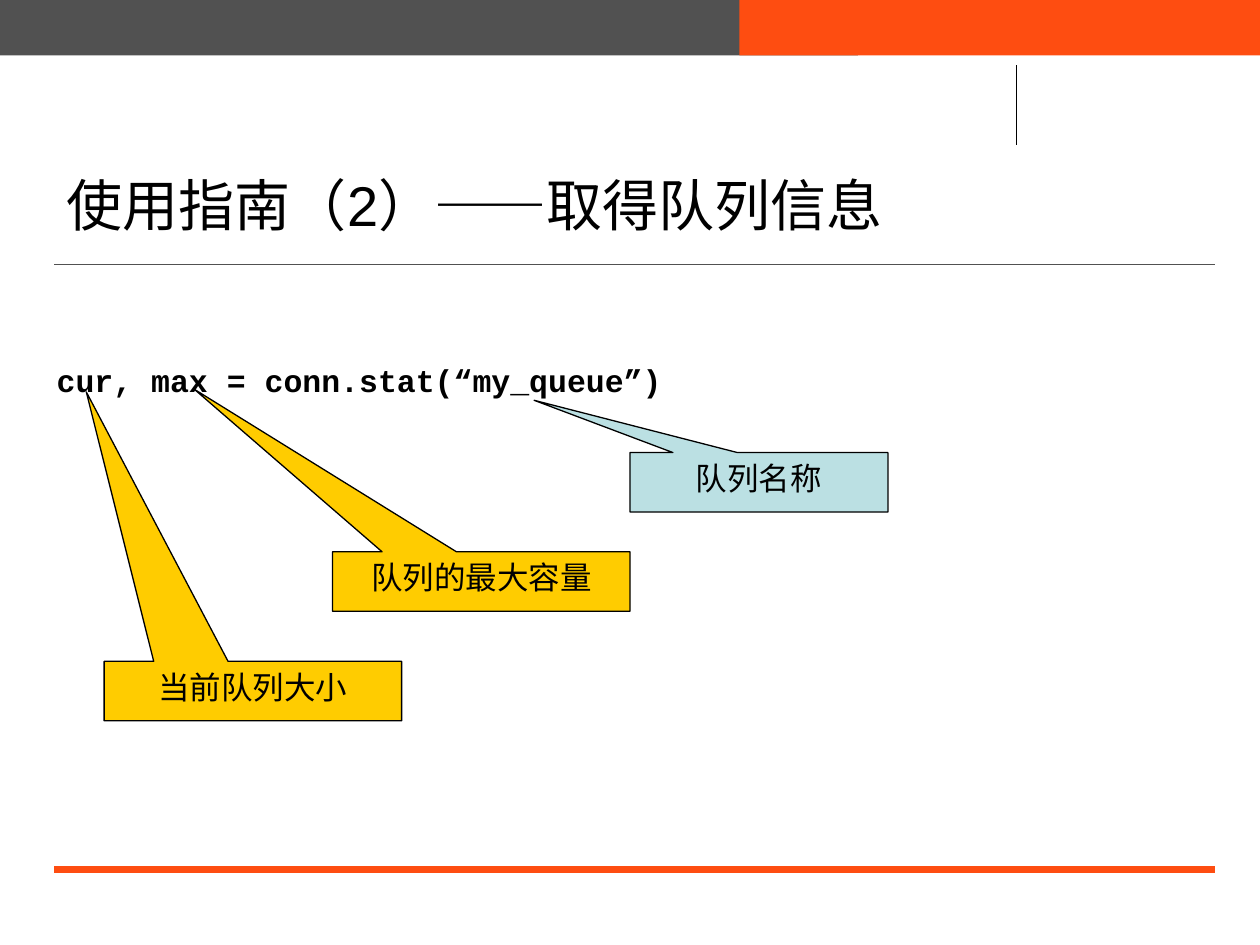
from dataclasses import dataclass

from pptx import Presentation
from pptx.dml.color import RGBColor
from pptx.enum.shapes import MSO_CONNECTOR as Connector, MSO_SHAPE as Shape
from pptx.enum.text import MSO_ANCHOR as Anchor, MSO_AUTO_SIZE as AutoSize, PP_ALIGN as Align
from pptx.oxml.ns import qn
from pptx.util import Pt
from lxml.etree import SubElement


@dataclass(frozen=True)
class Theme:
    """Colours, fonts and type sizes of the slide."""
    gray: str = "515151"
    orange: str = "FE4D11"
    black: str = "000000"
    yellow: str = "FFCC00"
    blue: str = "BBE0E3"
    font: str = "Arial"
    code_font: str = "Courier New"
    title_size: int = 32
    text_size: int = 18


THEME = Theme()


def write_text(shape, text, size=THEME.text_size, font=THEME.font, bold=False,
               align=Align.LEFT, anchor=Anchor.TOP, top_inset=3.6):
    """Write one formatted paragraph into a shape."""
    frame = shape.text_frame
    frame.word_wrap = True
    frame.auto_size = AutoSize.NONE
    frame.vertical_anchor = anchor
    frame.margin_left = frame.margin_right = Pt(7.2)
    frame.margin_top, frame.margin_bottom = Pt(top_inset), Pt(3.6)
    paragraph = frame.paragraphs[0]
    paragraph.alignment = align
    paragraph.space_before = Pt(0)
    run = paragraph.add_run()
    run.text = text
    run.font.name, run.font.size, run.font.bold = font, Pt(size), bold
    run.font.color.rgb = RGBColor.from_string(THEME.black)
    return paragraph


def place(shape, box):
    """Move a shape to a box of left, top, width and height."""
    shape.left, shape.top, shape.width, shape.height = map(Pt, box)


def add_box(slide, kind, box, fill, line=None):
    """Add a filled preset shape, with an outline if a colour is given."""
    shape = slide.shapes.add_shape(kind, *map(Pt, box))
    shape.shadow.inherit = False
    shape.fill.solid()
    shape.fill.fore_color.rgb = RGBColor.from_string(fill)
    if line:
        shape.line.color.rgb = RGBColor.from_string(line)
        shape.line.width = Pt(0.75)
    else:
        shape.line.fill.background()
    return shape


def add_rule(slide, start, end, color, width):
    """Add a straight line between two points."""
    rule = slide.shapes.add_connector(Connector.STRAIGHT, *map(Pt, (*start, *end)))
    rule.line.color.rgb = RGBColor.from_string(color)
    rule.line.width = Pt(width)
    SubElement(rule._element.spPr, qn("a:effectLst"))


def add_frame(slide, box):
    """Draw the top band and the rules of the page."""
    left, top, width, height = box
    right, band = left + width, 31.7
    split = left + 422.6
    add_box(slide, Shape.RECTANGLE, (left, top, 490.3, band), THEME.gray)
    add_box(slide, Shape.RECTANGLE, (split, top, right - split, band), THEME.orange)
    for y, color, weight in ((151.2, THEME.gray, 1), (496.8, THEME.orange, 4)):
        add_rule(slide, (left + 31, top + y), (right - 25.5, top + y), color, weight)
    add_rule(slide, (left + 581, top + 37.4), (left + 581, top + 82.8), THEME.black, 0.75)


def add_title(slide, box, text):
    """Place the slide title."""
    title = slide.shapes.title
    place(title, box)
    write_text(title, text, size=THEME.title_size, anchor=Anchor.MIDDLE)


def add_code(slide, box, text):
    """Place the line of code in the body placeholder."""
    body = slide.placeholders[1]
    place(body, box)
    paragraph = write_text(body, text, font=THEME.code_font, bold=True, top_inset=32.6)
    properties = paragraph._p.get_or_add_pPr()
    properties.set("marL", "0")
    properties.set("indent", "0")
    SubElement(properties, qn("a:buNone"))


def add_callout(slide, box, tip, text, fill):
    """Add a labelled callout whose tail ends at the tip."""
    left, top, width, height = box
    callout = add_box(slide, Shape.RECTANGULAR_CALLOUT, box, fill, THEME.black)
    callout.adjustments[0] = (tip[0] - left) / width - 0.5
    callout.adjustments[1] = (tip[1] - top) / height - 0.5
    write_text(callout, text, align=Align.CENTER)


def main():
    """Build the slide and save it."""
    presentation = Presentation()
    presentation.slide_width, presentation.slide_height = Pt(720), Pt(540)
    slide = presentation.slides.add_slide(presentation.slide_layouts[1])
    add_frame(slide, (0, 0, 720, 540))
    add_title(slide, (31, 93.6, 648, 46), "使用指南（2）——取得队列信息")
    add_code(slide, (25.2, 173.5, 663, 268.6), "cur, max = conn.stat(“my_queue”)")
    callouts = (
        ((360, 258.6, 147.4, 34), (305.2, 228.7), "队列名称", THEME.blue),
        ((190, 315.3, 170, 34), (111, 222.4), "队列的最大容量", THEME.yellow),
        ((59.5, 377.9, 170, 34), (49.3, 223.9), "当前队列大小", THEME.yellow),
    )
    for box, tip, text, fill in callouts:
        add_callout(slide, box, tip, text, fill)
    presentation.save("out.pptx")


if __name__ == "__main__":
    main()
